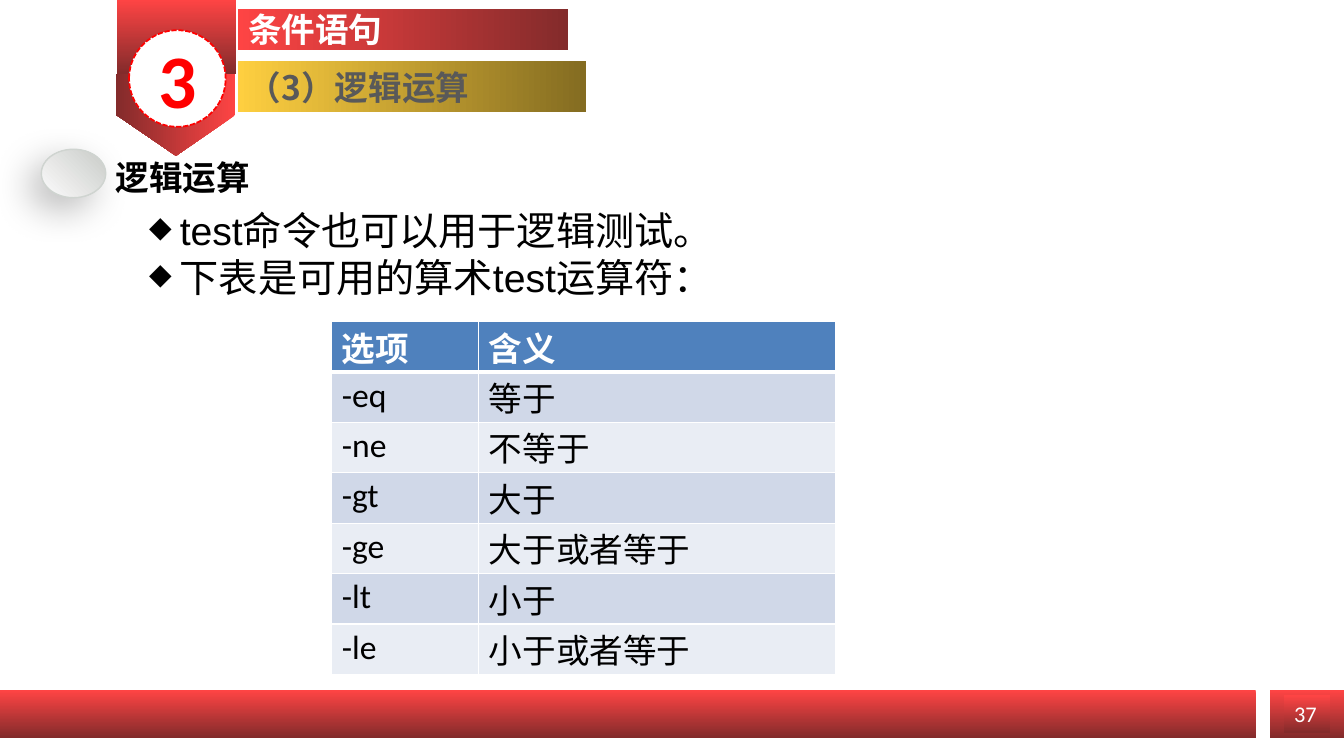
from dataclasses import dataclass
from typing import Optional

from lxml import etree
from pptx import Presentation
from pptx.dml.color import RGBColor
from pptx.enum.dml import MSO_LINE
from pptx.enum.shapes import MSO_SHAPE
from pptx.enum.text import MSO_ANCHOR, MSO_AUTO_SIZE, PP_ALIGN
from pptx.oxml.ns import qn
from pptx.util import Pt

RECT, OVAL, PENTAGON = MSO_SHAPE.RECTANGLE, MSO_SHAPE.OVAL, MSO_SHAPE.PENTAGON
TOP, MIDDLE = MSO_ANCHOR.TOP, MSO_ANCHOR.MIDDLE
LEFT, CENTER = PP_ALIGN.LEFT, PP_ALIGN.CENTER
DASH = MSO_LINE.SQUARE_DOT
NO_AUTO_SIZE = MSO_AUTO_SIZE.NONE
TITLE_ONLY = 5

COLORS = {
    "red": "FE4444", "dark_red": "832B2B", "gold": "FECF40", "dark_gold": "846C21",
    "number": "FF0000", "white": "FFFFFF", "black": "000000", "grey": "595959",
    "pearl_dark": "C9CBC8", "pearl_light": "FCFCFC", "pearl_line": "CFD4D0",
    "header": "4F81BD", "odd_row": "D0D8E8", "even_row": "E9EDF4",
}
REDS = ("red", "dark_red")


@dataclass
class Gradient:
    start: str
    end: str
    angle: int  # clockwise


@dataclass
class Text:
    lines: list[str]
    size: float
    color: str
    font: str = "Calibri"
    bold: bool = True
    align: PP_ALIGN = LEFT
    anchor: MSO_ANCHOR = TOP
    bullet: str = ""
    wrap: bool = True


@dataclass
class Block:
    at: tuple[float, float, float, float]
    gradient: Optional[Gradient] = None
    shape: MSO_SHAPE = RECT
    text: Optional[Text] = None
    rotation: int = 0


def rgb(name: str) -> RGBColor:
    return RGBColor.from_string(COLORS[name])


def fill_gradient(shape, gradient: Gradient) -> None:
    shape.fill.gradient()
    shape.fill.gradient_angle = (360 - gradient.angle) % 360
    for stop, name in zip(shape.fill.gradient_stops, (gradient.start, gradient.end)):
        stop.color.rgb = rgb(name)


def write(frame, text: Text) -> None:
    frame.auto_size = NO_AUTO_SIZE
    frame.word_wrap = text.wrap
    frame.vertical_anchor = text.anchor
    frame.margin_left = frame.margin_right = Pt(7.2)
    frame.margin_top = frame.margin_bottom = Pt(3.6)
    for index, line in enumerate(text.lines):
        para = frame.paragraphs[0] if index == 0 else frame.add_paragraph()
        para.text = line
        para.alignment = text.align
        if text.bullet:
            add_bullet(para, text.bullet)
        style_font(para.font, text)


def add_bullet(para, symbol: str) -> None:
    properties = para._p.get_or_add_pPr()
    properties.set("marL", str(Pt(64.5)))
    properties.set("indent", str(Pt(-22)))
    etree.SubElement(properties, qn("a:buSzPct"), val="75000")
    etree.SubElement(properties, qn("a:buChar"), char=symbol)


def style_font(font, text: Text) -> None:
    font.name, font.size, font.bold = text.font, Pt(text.size), text.bold
    font.color.rgb = rgb(text.color)


def add_block(page, block: Block):
    at = [Pt(length) for length in block.at]
    shape = page.shapes.add_shape(block.shape, *at)
    shape.shadow.inherit = False
    shape.line.fill.background()
    shape.rotation = block.rotation
    if block.gradient:
        fill_gradient(shape, block.gradient)
    if block.text:
        write(shape.text_frame, block.text)
    return shape


def add_text(page, at: tuple[float, float, float, float], text: Text) -> None:
    box = page.shapes.add_textbox(*[Pt(length) for length in at])
    write(box.text_frame, text)


def add_soft_shadow(shape) -> None:
    effects = shape._element.spPr.find(qn("a:effectLst"))
    shadow = etree.SubElement(effects, qn("a:outerShdw"), blurRad=str(Pt(27)),
                              dist=str(Pt(12)), dir="8100000", rotWithShape="0")
    color = etree.SubElement(shadow, qn("a:srgbClr"), val=COLORS["black"])
    etree.SubElement(color, qn("a:alpha"), val="26000")


def set_borders(cell, widths: dict[str, float]) -> None:
    properties = cell._tc.get_or_add_tcPr()
    for position, (side, width) in enumerate(widths.items()):
        line = etree.Element(qn(f"a:ln{side}"), w=str(Pt(width)))
        fill = etree.SubElement(line, qn("a:solidFill"))
        etree.SubElement(fill, qn("a:srgbClr"), val=COLORS["white"])
        properties.insert(position, line)


def add_operator_table(page, rows: list[tuple[str, str]]) -> None:
    widths = (105, 255)
    frame = page.shapes.add_table(len(rows), len(widths), Pt(237), Pt(229.7),
                                  Pt(sum(widths)), Pt(36 * len(rows)))
    table = frame.table
    for column, width in zip(table.columns, widths):
        column.width = Pt(width)
    for r, row in enumerate(rows):
        is_header = r == 0
        row_color = "header" if is_header else ("odd_row" if r % 2 else "even_row")
        style = Text([], 24, "white" if is_header else "black", bold=is_header)
        for c, value in enumerate(row):
            cell = table.cell(r, c)
            cell.margin_left = cell.margin_right = Pt(7.2)
            # Chinese glyphs sit higher in a fixed line than Latin ones
            is_latin = value.isascii()
            cell.margin_top = Pt(3.6 if is_latin else 7.2)
            cell.margin_bottom = Pt(3.6 if is_latin else 0)
            cell.fill.solid()
            cell.fill.fore_color.rgb = rgb(row_color)
            para = cell.text_frame.paragraphs[0]
            para.text = value
            para.line_spacing = Pt(28)
            style_font(para.font, style)
            set_borders(cell, {"L": 1, "R": 1, "T": 3 if r == 1 else 1,
                               "B": 3 if is_header else 1})


def main() -> None:
    deck = Presentation()
    deck.slide_width, deck.slide_height = Pt(960), Pt(540)
    page = deck.slides.add_slide(deck.slide_layouts[TITLE_ONLY])

    # Title banner
    title = page.shapes.title
    title.left, title.top, title.width, title.height = Pt(170), Pt(6.5), Pt(236), Pt(29)
    fill_gradient(title, Gradient(*REDS, 0))
    write(title.text_frame, Text(["条件语句"], 24, "white", anchor=MIDDLE))

    # Ribbon, footer bars, page number and subtitle banner
    down = Gradient(*REDS, 90)
    blocks = [
        Block((96.5, 39.6, 58.3, 85), down, PENTAGON, rotation=90),
        Block((83.5, 0, 85, 52.6), down),
        Block((0, 493.2, 897, 33.8), down),
        Block((907.2, 493.2, 52.8, 33.8), down),
        Block((917.3, 496.8, 33.1, 26.6), down,
              text=Text(["37"], 16, "white", bold=False, wrap=False)),
        Block((170, 43.9, 248.4, 36), Gradient("gold", "dark_gold", 0),
              text=Text(["（3）逻辑运算"], 24, "grey", "Noto Sans CJK SC")),
    ]
    for block in blocks:
        add_block(page, block)

    # Chapter number
    badge = add_block(page, Block((92.2, 21.6, 69, 69), shape=OVAL, text=Text(
        ["3"], 54, "number", align=CENTER, anchor=MIDDLE)))
    badge.fill.solid()
    badge.fill.fore_color.rgb = rgb("white")
    badge.line.color.rgb = rgb("number")
    badge.line.width = Pt(1.25)
    badge.line.dash_style = DASH

    # Section heading with its pearl marker
    pearl = add_block(page, Block((29.5, 106.6, 46, 34.6),
                                  Gradient("pearl_dark", "pearl_light", 135), OVAL))
    pearl.line.color.rgb = rgb("pearl_line")
    pearl.line.width = Pt(1)
    add_soft_shadow(pearl)
    add_text(page, (75.6, 108.7, 187.2, 36),
             Text(["逻辑运算"], 24, "black", "Noto Sans CJK SC"))

    # Explanation
    add_text(page, (56.9, 144, 818.6, 110), Text(
        ["test命令也可以用于逻辑测试。", "下表是可用的算术test运算符："],
        28, "black", "Arial", bold=False, bullet="◆"))

    # Operators
    add_operator_table(page, [
        ("选项", "含义"), ("-eq", "等于"), ("-ne", "不等于"), ("-gt", "大于"),
        ("-ge", "大于或者等于"), ("-lt", "小于"), ("-le", "小于或者等于"),
    ])
    deck.save("out.pptx")


if __name__ == "__main__":
    main()
